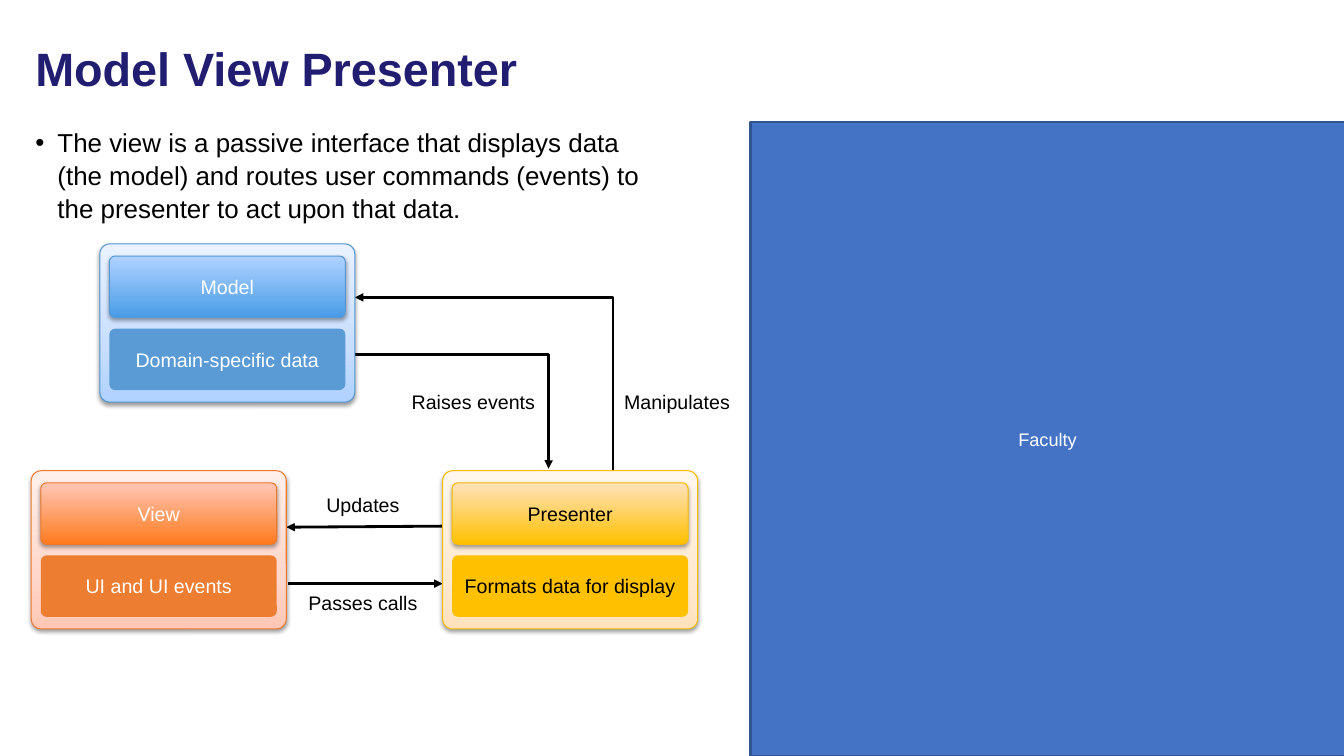
import pptx
import pptx.util
import pptx.dml.color
import pptx.enum.shapes
import pptx.enum.text
import pptx.oxml
import pptx.oxml.ns

Inches, Pt = pptx.util.Inches, pptx.util.Pt
RGB = pptx.dml.color.RGBColor
SHAPE = pptx.enum.shapes.MSO_SHAPE
CONNECTOR = pptx.enum.shapes.MSO_CONNECTOR
ALIGN = pptx.enum.text.PP_ALIGN
ANCHOR = pptx.enum.text.MSO_ANCHOR
NS = pptx.oxml.ns.nsdecls("a")

BLACK, WHITE = RGB(0, 0, 0), RGB(255, 255, 255)
NAVY = RGB(0x21, 0x1D, 0x70)
PANEL, PANEL_EDGE = RGB(0x44, 0x72, 0xC4), RGB(0x32, 0x54, 0x91)
BLUE, BLUE_EDGE = RGB(0x5B, 0x9B, 0xD5), RGB(0x56, 0x98, 0xD3)
ORANGE, ORANGE_EDGE = RGB(0xED, 0x7D, 0x31), RGB(0xEC, 0x79, 0x2B)
GOLD, GOLD_EDGE = RGB(0xFF, 0xC0, 0x00), RGB(0xF9, 0xBC, 0x00)
BLUE_DEEP, BLUE_SOFT = RGB(0x49, 0x9C, 0xE7), RGB(0xB0, 0xD2, 0xFF)
BLUE_MID, BLUE_PALE = RGB(0xC7, 0xDE, 0xFF), RGB(0xEA, 0xF2, 0xFF)
ORANGE_DEEP, ORANGE_SOFT = RGB(0xFF, 0x7A, 0x1F), RGB(0xFF, 0xC7, 0xB6)
ORANGE_MID, ORANGE_PALE = RGB(0xFF, 0xD7, 0xCB), RGB(0xFF, 0xF0, 0xEB)
GOLD_SOFT, GOLD_MID, GOLD_PALE = RGB(0xFF, 0xE2, 0xBD), RGB(0xFF, 0xEA, 0xD1), RGB(0xFF, 0xF7, 0xEE)

prs = pptx.Presentation()
prs.slide_width, prs.slide_height = Inches(13.33), Inches(7.5)
slide = prs.slides.add_slide(prs.slide_layouts[1])


def write(sp, text, size, color, align=ALIGN.CENTER, anchor=ANCHOR.MIDDLE):
    tf = sp.text_frame
    tf.text = text
    tf.word_wrap = True
    tf.auto_size = pptx.enum.text.MSO_AUTO_SIZE.NONE
    tf.vertical_anchor = anchor
    p = tf.paragraphs[0]
    p.alignment = align
    font = p.runs[0].font
    font.name, font.size, font.color.rgb = "Arial", Pt(size), color
    return p


def add_box(left, top, width, height, radius, fill, edge=None, shadow=None):
    """Rounded box; fill is a colour or (percent, colour) stops from the bottom up."""
    sp = slide.shapes.add_shape(SHAPE.ROUNDED_RECTANGLE, *map(Inches, (left, top, width, height)))
    sp.adjustments[0] = radius
    sp.shadow.inherit = False
    if isinstance(fill, RGB):
        sp.fill.solid()
        sp.fill.fore_color.rgb = fill
    else:
        sp.fill.gradient()
        sp.fill.gradient_angle = 90
        stops = sp._element.spPr.find(".//" + pptx.oxml.ns.qn("a:gsLst"))
        for gs in list(stops):
            stops.remove(gs)
        for percent, color in fill:
            stops.append(pptx.oxml.parse_xml(
                f'<a:gs {NS} pos="{percent * 1000}"><a:srgbClr val="{color}"/></a:gs>'))
    if edge is None:
        sp.line.fill.background()
    else:
        sp.line.color.rgb, sp.line.width = edge, Pt(0.75)
    if shadow:
        alpha, distance = shadow
        sp._element.spPr.find(pptx.oxml.ns.qn("a:effectLst")).append(pptx.oxml.parse_xml(
            f'<a:outerShdw {NS} blurRad="{Pt(3.1)}" dist="{Pt(distance)}" dir="5400000" rotWithShape="0">'
            f'<a:srgbClr val="000000"><a:alpha val="{alpha * 1000}"/></a:srgbClr></a:outerShdw>'))
    return sp


# Title, bullet and side panel
title, body = slide.shapes.title, slide.placeholders[1]
for sp, box in ((title, (0.25, 0.25, 11.81, 0.91)), (body, (0.25, 1.19, 6.42, 5.19))):
    sp.left, sp.top, sp.width, sp.height = map(Inches, box)

p = write(title, "Model View Presenter", 33.4, NAVY, ALIGN.LEFT)
p.line_spacing = 0.9
p.runs[0].font.bold = True

p = write(body, "The view is a passive interface that displays data (the model) and routes user "
          "commands (events) to the presenter to act upon that data.",
          18.5, BLACK, ALIGN.LEFT, ANCHOR.TOP)
p.space_before, p.line_spacing = Pt(9.3), 1.06
pPr = p._p.get_or_add_pPr()
pPr.set("marL", str(Inches(0.22)))
pPr.set("indent", str(-Inches(0.22)))
pPr.append(pptx.oxml.parse_xml(f'<a:buClr {NS}><a:srgbClr val="000000"/></a:buClr>'))
pPr.append(pptx.oxml.parse_xml(f'<a:buFont {NS} typeface="Arial"/>'))
pPr.append(pptx.oxml.parse_xml(f'<a:buChar {NS} char="•"/>'))

panel = slide.shapes.add_shape(SHAPE.RECTANGLE, *map(Inches, (7.44, 1.21, 5.9, 6.29)))
panel.shadow.inherit = False
panel.fill.solid()
panel.fill.fore_color.rgb = PANEL
panel.line.color.rgb, panel.line.width = PANEL_EDGE, Pt(2)
write(panel, "Faculty", 13, WHITE)

# Arrows: start, end, and the bend as a share of the width
arrows = (
    ((6.11, 4.77), (3.52, 2.95), 0.012),
    ((2.86, 5.79), (4.39, 5.79), None),
    ((4.39, 5.22), (2.84, 5.23), None),
    ((3.52, 3.52), (5.44, 4.65), 1.001),
)
for start, end, bend in arrows:
    kind = CONNECTOR.STRAIGHT if bend is None else CONNECTOR.ELBOW
    line = slide.shapes.add_connector(kind, *map(Inches, start + end))
    line.line.color.rgb, line.line.width = BLACK, Pt(2)
    line.line._get_or_add_ln().append(pptx.oxml.parse_xml(f'<a:tailEnd {NS} type="triangle"/>'))
    spPr = line._element.spPr
    spPr.append(pptx.oxml.parse_xml(f'<a:effectLst {NS}/>'))
    if bend is not None:
        guides = spPr.find(pptx.oxml.ns.qn("a:prstGeom")).get_or_add_avLst()
        guides.append(pptx.oxml.parse_xml(
            f'<a:gd {NS} name="adj1" fmla="val {round(bend * 100000)}"/>'))

# Cards: a frame holding a heading above a description
CARD_W, CARD_H, ROW_W, ROW_H = 2.53, 1.57, 2.34, 0.61
PAD_X, HEAD_Y, DETAIL_Y = (CARD_W - ROW_W) / 2, 0.12, 0.84
cards = (
    (4.39, 4.67, "Presenter", "Formats data for display", BLACK,
     GOLD, GOLD_EDGE, GOLD, (GOLD_SOFT, GOLD_MID, GOLD_PALE)),
    (0.99, 2.42, "Model", "Domain-specific data", WHITE,
     BLUE, BLUE_EDGE, BLUE_DEEP, (BLUE_SOFT, BLUE_MID, BLUE_PALE)),
    (0.31, 4.67, "View", "UI and UI events", WHITE,
     ORANGE, ORANGE_EDGE, ORANGE_DEEP, (ORANGE_SOFT, ORANGE_MID, ORANGE_PALE)),
)
for left, top, head, detail, ink, fill, edge, deep, tints in cards:
    add_box(left, top, CARD_W, CARD_H, 0.064, zip((0, 35, 100), tints), edge, (38, 1.6))
    rows = (
        (detail, DETAIL_Y, fill, None, None),
        (head, HEAD_Y, ((0, deep), (100, tints[0])), edge, (35, 1.8)),
    )
    for text, offset, row_fill, row_edge, shadow in rows:
        sp = add_box(left + PAD_X, top + offset, ROW_W, ROW_H, 0.093, row_fill, row_edge, shadow)
        sp.text_frame.margin_left = sp.text_frame.margin_right = Inches(0.05)
        write(sp, text, 14, ink)

# Arrow labels
labels = (
    ("Updates", 3.05, 4.84, 1.1),
    ("Passes calls", 2.89, 5.81, 1.42),
    ("Raises events", 3.94, 3.82, 1.51),
    ("Manipulates", 6.08, 3.82, 1.27),
)
for text, left, top, width in labels:
    sp = slide.shapes.add_textbox(*map(Inches, (left, top, width, 0.34)))
    write(sp, text, 14, BLACK, anchor=ANCHOR.TOP)

prs.save("out.pptx")
